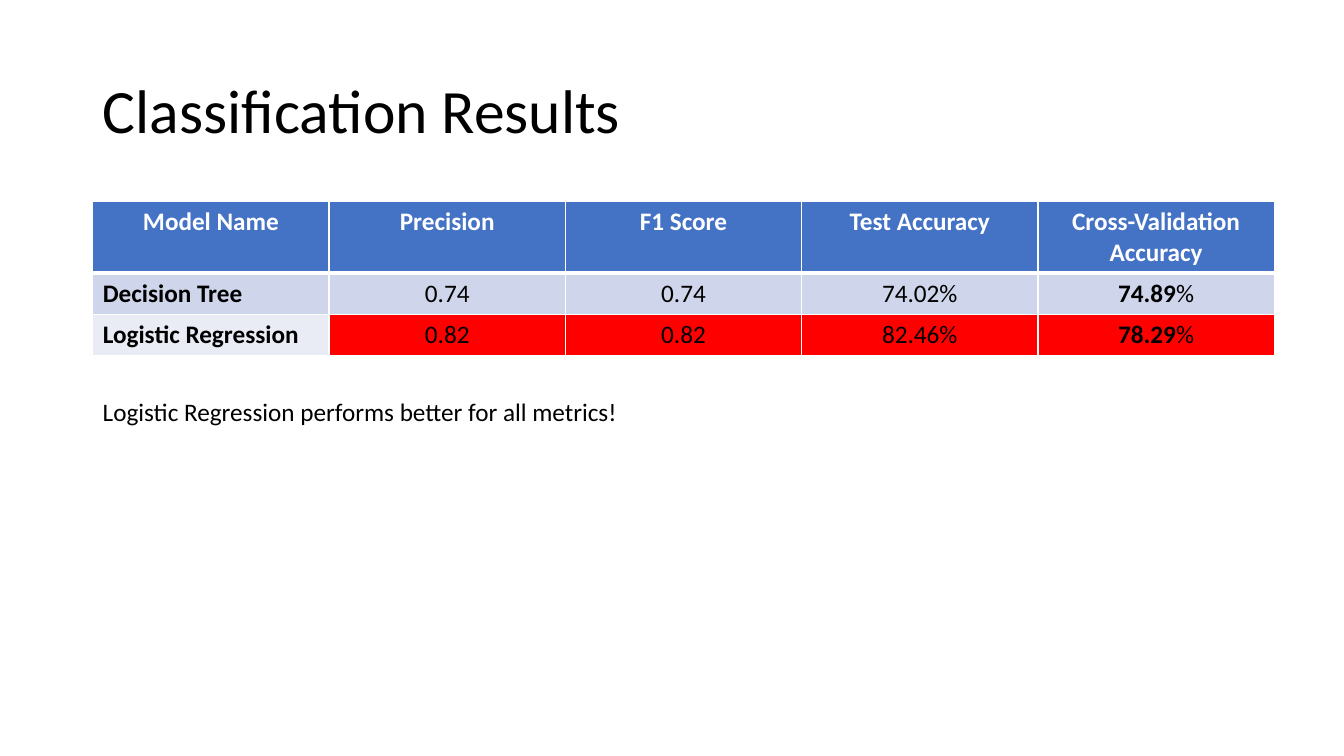
from lxml.etree import SubElement
from pptx import Presentation
from pptx.dml.color import RGBColor
from pptx.enum.text import MSO_ANCHOR, MSO_AUTO_SIZE, PP_ALIGN
from pptx.oxml.ns import qn
from pptx.util import Inches, Pt

COLORS = {
    "text": "000000",
    "white": "FFFFFF",
    "header": "4472C4",
    "band": "CFD5EA",
    "light": "E9EBF5",
    "highlight": "FF0000",
}
HEADERS = ["Model Name", "Precision", "F1 Score", "Test Accuracy", "Cross-Validation Accuracy"]
RESULTS = [
    ["Decision Tree", "0.74", "0.74", "74.02%", "74.89%"],
    ["Logistic Regression", "0.82", "0.82", "82.46%", "78.29%"],
]
HEADER_HEIGHT = 0.69
ROW_HEIGHT = 0.41


def write_text(frame, *texts, size=18, color="text", bold=(False,), align=PP_ALIGN.LEFT, spacing=1.0):
    """Write one paragraph whose spans take their weight from bold."""
    para = frame.paragraphs[0]
    para.alignment = align
    para.line_spacing = spacing
    for text, weight in zip(texts, bold):
        span = para.add_run()
        span.text = text
        span.font.name = "Calibri"
        span.font.size = Pt(size)
        span.font.bold = weight
        span.font.color.rgb = RGBColor.from_string(COLORS[color])


def set_borders(cell, bottom):
    """Draw white cell borders, with the given bottom width in points."""
    properties = cell._tc.get_or_add_tcPr()
    widths = {"a:lnL": 1, "a:lnR": 1, "a:lnT": 1, "a:lnB": bottom}
    for position, (tag, width) in enumerate(widths.items()):
        line = SubElement(properties, qn(tag), w=str(Pt(width)))
        fill = SubElement(line, qn("a:solidFill"))
        SubElement(fill, qn("a:srgbClr"), val=COLORS["white"])
        properties.insert(position, line)


def format_cell(cell, fill, bottom=1):
    """Fill and border a table cell."""
    cell.fill.solid()
    cell.fill.fore_color.rgb = RGBColor.from_string(COLORS[fill])
    set_borders(cell, bottom)


def add_title(page, left, top, width, height):
    """Place the title placeholder in the given box."""
    title = page.shapes.title
    title.left, title.top = Inches(left), Inches(top)
    title.width, title.height = Inches(width), Inches(height)
    title.text_frame.vertical_anchor = MSO_ANCHOR.MIDDLE
    write_text(title.text_frame, "Classification Results", size=44, spacing=0.9)


def add_results(page, left, top, width):
    """Build the metrics table with equal columns across the given width."""
    height = HEADER_HEIGHT + ROW_HEIGHT * len(RESULTS)
    table = page.shapes.add_table(
        len(RESULTS) + 1, len(HEADERS), Inches(left), Inches(top), Inches(width), Inches(height)
    ).table
    for column in table.columns:
        column.width = Inches(width / len(HEADERS))
    for index, row in enumerate(table.rows):
        row.height = Inches(ROW_HEIGHT if index else HEADER_HEIGHT)

    for column, header in enumerate(HEADERS):
        cell = table.cell(0, column)
        format_cell(cell, "header", bottom=3)
        write_text(cell.text_frame, header, color="white", bold=(True,), align=PP_ALIGN.CENTER)

    fills = [("band", "band"), ("light", "highlight")]
    for row, (values, (name_fill, value_fill)) in enumerate(zip(RESULTS, fills), start=1):
        for column, value in enumerate(values):
            cell = table.cell(row, column)
            format_cell(cell, value_fill if column else name_fill)
            if column == 0:
                write_text(cell.text_frame, value, bold=(True,))
            elif column == len(HEADERS) - 1:
                write_text(cell.text_frame, value[:-1], "%", bold=(True, False), align=PP_ALIGN.CENTER)
            else:
                write_text(cell.text_frame, value, align=PP_ALIGN.CENTER)


def add_conclusion(page, left, top, width, height):
    """Place the closing remark in the given box."""
    box = page.shapes.add_textbox(Inches(left), Inches(top), Inches(width), Inches(height))
    box.text_frame.word_wrap = False
    box.text_frame.auto_size = MSO_AUTO_SIZE.SHAPE_TO_FIT_TEXT
    write_text(box.text_frame, "Logistic Regression performs better for all metrics!")


def main():
    """Build and save the deck."""
    deck = Presentation()
    deck.slide_width, deck.slide_height = Inches(13.33), Inches(7.5)
    page = deck.slides.add_slide(deck.slide_layouts[5])
    add_title(page, 0.92, 0.4, 11.5, 1.45)
    add_results(page, 0.92, 2, 11.72)
    add_conclusion(page, 0.92, 3.88, 5.35, 0.4)
    deck.save("out.pptx")


if __name__ == "__main__":
    main()
